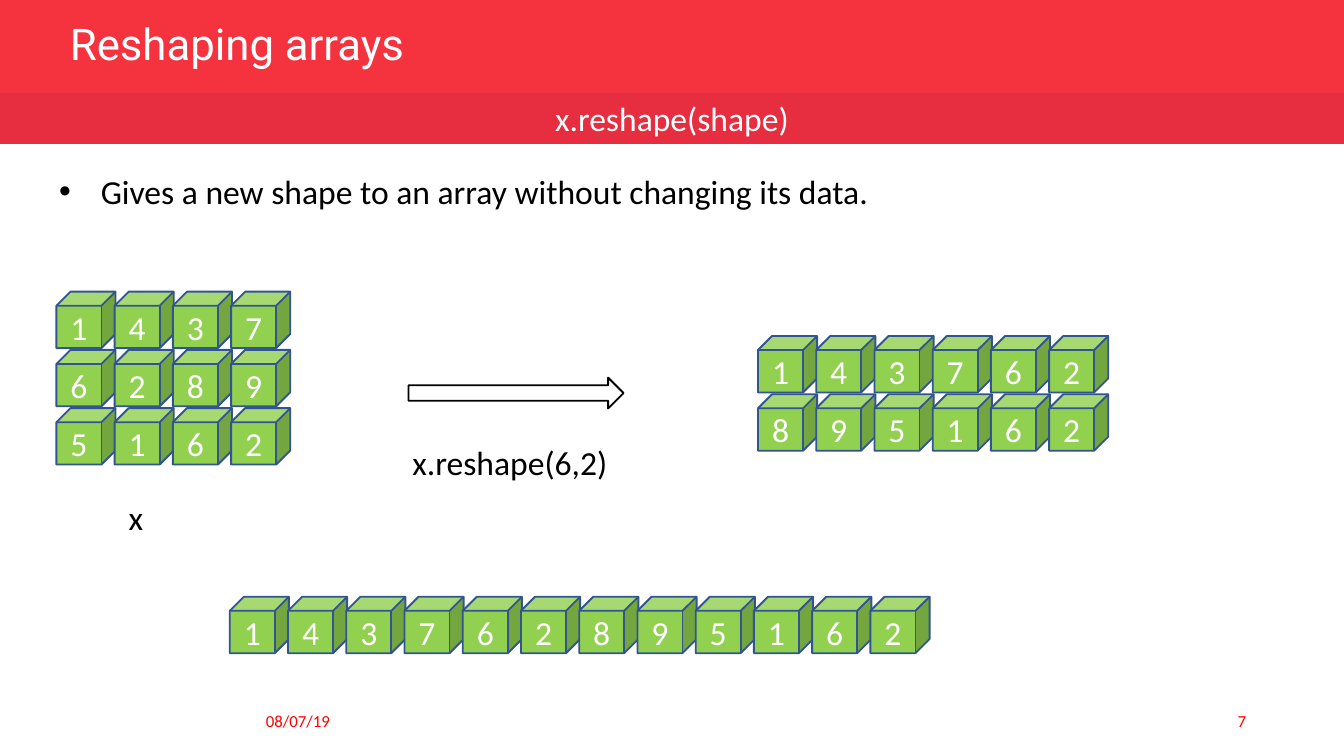
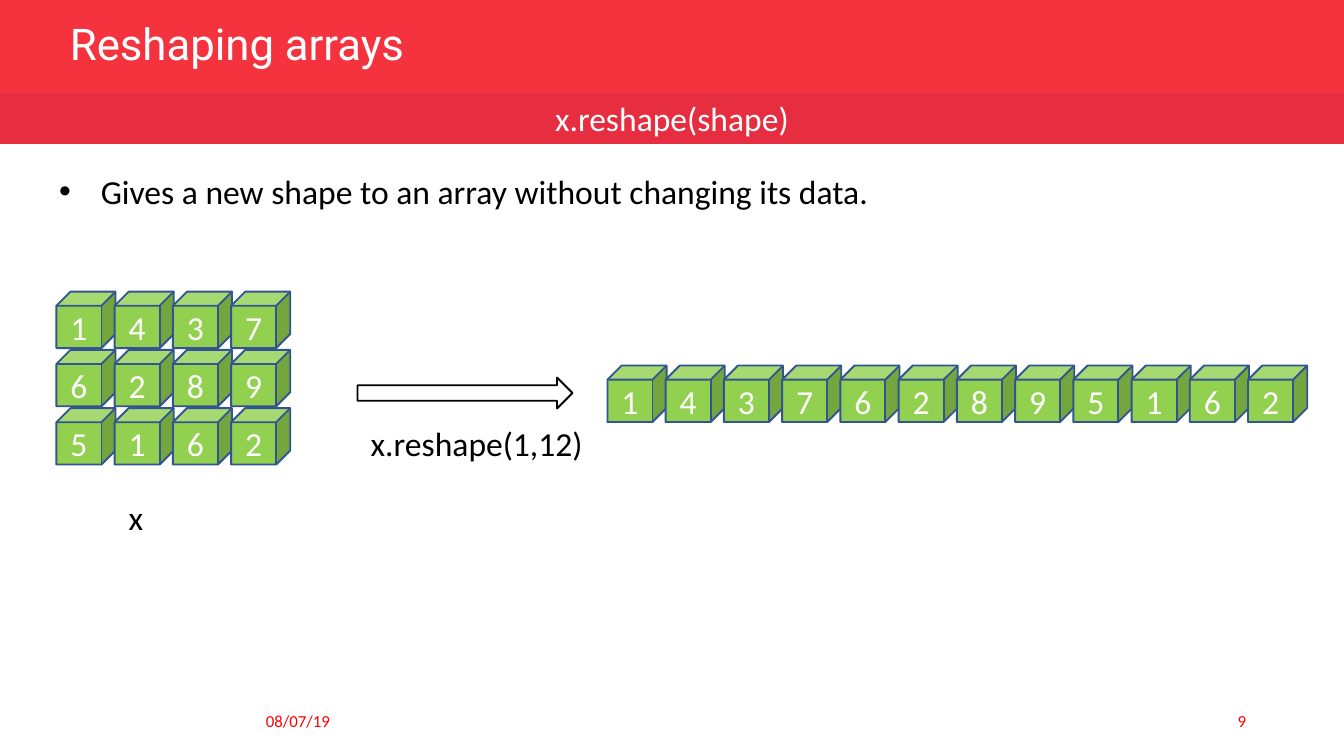
from dataclasses import dataclass

from pptx import Presentation
from pptx.dml.color import RGBColor
from pptx.enum.shapes import MSO_SHAPE
from pptx.enum.text import MSO_ANCHOR, MSO_AUTO_SIZE, PP_ALIGN
from pptx.oxml.xmlchemy import OxmlElement
from pptx.shapes.autoshape import Shape
from pptx.slide import Slide, SlideLayout
from pptx.util import Inches, Pt

RED = RGBColor(0xF5, 0x33, 0x3F)
DARK_RED = RGBColor(0xE7, 0x2D, 0x40)
FOOTER_RED = RGBColor(0xFF, 0x00, 0x00)
GREEN = RGBColor(0x92, 0xD0, 0x50)
CUBE_EDGE = RGBColor(0x32, 0x54, 0x91)
WHITE = RGBColor(0xFF, 0xFF, 0xFF)
BLACK = RGBColor(0x00, 0x00, 0x00)

BODY_FONT = "Calibri"
TITLE_FONT = "Roboto"
SLIDE_WIDTH = Inches(10)
SLIDE_HEIGHT = SLIDE_WIDTH * 9 // 16
CUBE_WIDTH, CUBE_HEIGHT = Inches(0.44), Inches(0.42)
CUBE_PITCH = Inches(1.3) / 3
BULLET_INDENT = Inches(0.31)


@dataclass(frozen=True)
class CubeGrid:
    left: float
    top: float
    rows: tuple[str, ...]


@dataclass(frozen=True)
class ReshapeSlide:
    number: int
    arrow_left: float
    call: str
    call_left: float
    call_top: float
    results: tuple[CubeGrid, ...]


SOURCE_GRID = CubeGrid(0.42, 2.17, ("1437", "6289", "5162"))
FLAT_ROW = ("143762895162",)

RESHAPE_SLIDES = (
    ReshapeSlide(7, 3.04, "x.reshape(6,2)", 2.97, 3.24,
                 (CubeGrid(5.64, 2.5, ("143762", "895162")),
                  CubeGrid(1.71, 4.44, FLAT_ROW))),
    ReshapeSlide(9, 2.66, "x.reshape(1,12)", 2.66, 3.1,
                 (CubeGrid(4.52, 2.72, FLAT_ROW),)),
)


def write(shape: Shape, text: str, color: RGBColor, size: float = 18,
          font_name: str = BODY_FONT, align: PP_ALIGN = PP_ALIGN.LEFT,
          anchor: MSO_ANCHOR = MSO_ANCHOR.MIDDLE) -> None:
    frame = shape.text_frame
    frame.text = text
    frame.word_wrap = True
    frame.auto_size = MSO_AUTO_SIZE.NONE
    frame.vertical_anchor = anchor
    paragraph = frame.paragraphs[0]
    paragraph.alignment = align
    font = paragraph.font
    font.name, font.size, font.color.rgb = font_name, Pt(size), color


def place(shape: Shape, left: float, top: float, width: float, height: float) -> None:
    shape.left, shape.top = Inches(left), Inches(top)
    shape.width, shape.height = Inches(width), Inches(height)


def paint(shape: Shape, fill: RGBColor, line: RGBColor | None = None) -> None:
    shape.shadow.inherit = False
    shape.fill.solid()
    shape.fill.fore_color.rgb = fill
    if line is None:
        shape.line.fill.background()
    else:
        shape.line.color.rgb = line
        shape.line.width = Pt(1)


def add_band(slide: Slide, top: float, height: float, color: RGBColor) -> Shape:
    band = slide.shapes.add_shape(
        MSO_SHAPE.RECTANGLE, 0, Inches(top), SLIDE_WIDTH, Inches(height))
    paint(band, color)
    return band


def add_label(slide: Slide, text: str, left: float, top: float,
              width: float, height: float = 0.4) -> None:
    label = slide.shapes.add_textbox(
        Inches(left), Inches(top), Inches(width), Inches(height))
    write(label, text, BLACK, anchor=MSO_ANCHOR.TOP)


def add_footer(slide: Slide, text: str, left: float, align: PP_ALIGN) -> None:
    footer = slide.shapes.add_textbox(
        Inches(left), Inches(5.21), Inches(2.25), Inches(0.3))
    write(footer, text, FOOTER_RED, size=9, align=align)


def move_to_layout(band: Shape, layout: SlideLayout) -> None:
    """Put the band behind everything on the slides that use the layout."""
    band.element.nvSpPr.cNvPr.set("id", "100")
    layout.shapes.element.insert(2, band.element)


def fill_title(slide: Slide) -> None:
    title = slide.shapes.title
    place(title, 0.42, 0.14, 4.69, 0.44)
    write(title, "Reshaping arrays", WHITE, size=23.4, font_name=TITLE_FONT)
    title.text_frame.paragraphs[0].line_spacing = 0.8


def fill_body(slide: Slide) -> None:
    body = slide.placeholders[1]
    place(body, 0.34, 1.22, 8.37, 0.4)
    write(body, "Gives a new shape to an array without changing its data.",
          BLACK, anchor=MSO_ANCHOR.TOP)
    paragraph = body.text_frame.paragraphs[0]
    paragraph.space_before = Pt(0)
    properties = paragraph.font._element.getparent()
    properties.set("marL", str(BULLET_INDENT))
    properties.set("indent", str(-BULLET_INDENT))
    bullet = OxmlElement("a:buChar")
    bullet.set("char", "•")
    paragraph.font._element.addprevious(bullet)


def add_cube_grid(slide: Slide, grid: CubeGrid) -> None:
    group = slide.shapes.add_group_shape()
    for row, digits in enumerate(grid.rows):
        for column, digit in enumerate(digits):
            cube = group.shapes.add_shape(
                MSO_SHAPE.CUBE,
                Inches(grid.left) + round(column * CUBE_PITCH),
                Inches(grid.top) + round(row * CUBE_PITCH),
                CUBE_WIDTH, CUBE_HEIGHT)
            paint(cube, GREEN, CUBE_EDGE)
            write(cube, digit, WHITE, align=PP_ALIGN.CENTER)
            frame = cube.text_frame
            frame.margin_left = frame.margin_right = 0
            frame.margin_top = frame.margin_bottom = 0


def add_arrow(slide: Slide, left: float) -> None:
    arrow = slide.shapes.add_shape(
        MSO_SHAPE.RIGHT_ARROW, Inches(left), Inches(2.81), Inches(1.6), Inches(0.23))
    paint(arrow, WHITE, BLACK)


def fill_slide(slide: Slide, content: ReshapeSlide) -> None:
    fill_title(slide)
    fill_body(slide)
    add_footer(slide, "08/07/19", 1.88, PP_ALIGN.LEFT)
    add_footer(slide, str(content.number), 7.12, PP_ALIGN.RIGHT)
    subtitle = add_band(slide, 0.69, 0.38, DARK_RED)
    write(subtitle, "x.reshape(shape)", WHITE, align=PP_ALIGN.CENTER)
    add_cube_grid(slide, SOURCE_GRID)
    add_label(slide, "x", 0.86, 3.65, 0.44)
    add_arrow(slide, content.arrow_left)
    add_label(slide, content.call, content.call_left, content.call_top, 2)
    for grid in content.results:
        add_cube_grid(slide, grid)


def main() -> None:
    presentation = Presentation()
    presentation.slide_width = SLIDE_WIDTH
    presentation.slide_height = SLIDE_HEIGHT
    layout = presentation.slide_layouts[1]
    slides = [presentation.slides.add_slide(layout) for _ in RESHAPE_SLIDES]
    move_to_layout(add_band(slides[0], 0, 0.7, RED), layout)
    for slide, content in zip(slides, RESHAPE_SLIDES):
        fill_slide(slide, content)
    presentation.save("out.pptx")


if __name__ == "__main__":
    main()
